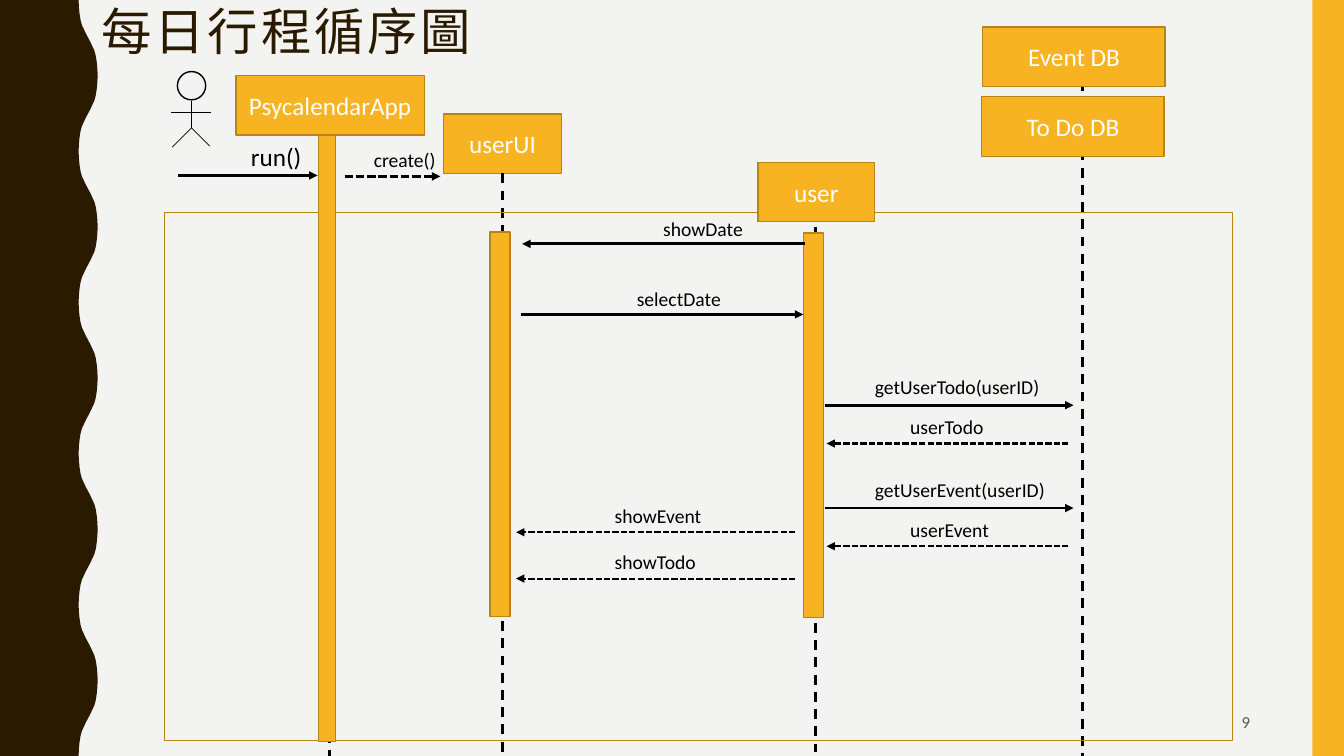
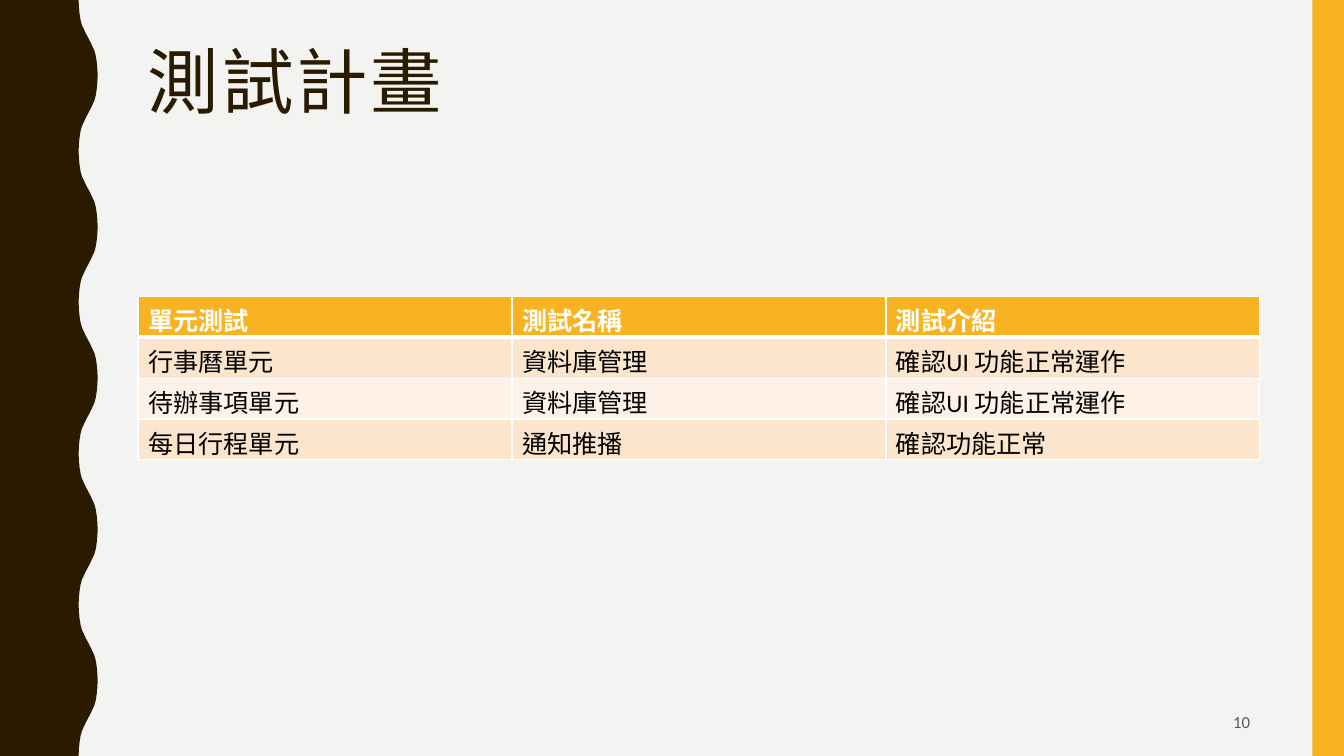
"""Build a sequence diagram slide and a test plan slide with shared styling."""
from dataclasses import dataclass
from typing import Any, NamedTuple

from lxml.etree import SubElement
from pptx import Presentation
from pptx.dml.color import RGBColor as Rgb
from pptx.enum.dml import MSO_LINE as Dash
from pptx.enum.shapes import MSO_CONNECTOR as Link, MSO_SHAPE as Preset
from pptx.enum.text import MSO_ANCHOR as Anchor, PP_ALIGN as Align
from pptx.oxml.ns import qn
from pptx.util import Pt


@dataclass(frozen=True)
class Theme:
    paper: Rgb = Rgb.from_string("F3F3F2")
    brown: Rgb = Rgb.from_string("2A1A00")
    amber: Rgb = Rgb.from_string("F8B323")
    outline: Rgb = Rgb.from_string("B7841A")
    peach: Rgb = Rgb.from_string("FCE5CD")
    cream: Rgb = Rgb.from_string("FEF2E8")
    gray: Rgb = Rgb.from_string("595959")
    black: Rgb = Rgb.from_string("000000")
    white: Rgb = Rgb.from_string("FFFFFF")
    title_font: str = "Roboto Condensed"
    body_font: str = "Calibri"
    title_small: float = 36
    title_large: float = 51
    body: float = 18
    label: float = 14
    number: float = 12


class Area(NamedTuple):
    left: float
    top: float
    width: float
    height: float


class Participant(NamedTuple):
    name: str
    left: float
    top: float
    width: float


class Stroke(NamedTuple):
    x1: float
    y1: float
    x2: float
    y2: float


@dataclass(frozen=True)
class Message:
    text: str
    label_left: float
    start: float
    end: float
    y: float
    rise: float = 23.8
    size: float = 14
    weight: float = 2
    dashed: bool = False


THEME = Theme()
WIDTH, HEIGHT = 960, 540
HEAD_HEIGHT = 42.5
WAVE_PERIOD = 108
WAVE_CENTER = 63
WAVE_QUARTER = [(56.2, 0), (56.4, 5), (56.9, 10), (57.6, 14.4),
                (58.6, 18), (60, 21), (61.4, 24), (63, 27)]

USER_UI = Participant("userUI", 317, 81.3, 84)
PARTICIPANTS = [
    Participant("PsycalendarApp", 168.5, 54, 134.6),
    Participant("user", 541.4, 115.9, 83.5),
    Participant("To Do DB", 701.3, 69.1, 130.3),
    Participant("Event DB", 702, 19.4, 130.3),
]
LIFELINES = [Stroke(773.3, 58.3, 773.3, HEIGHT), Stroke(582.5, 137.5, 582.5, 537),
             Stroke(235.4, 117.4, 235.4, HEIGHT)]
ACTIVATIONS = [Area(227.5, 96.5, 12.2, 433.4), Area(573.8, 166.3, 14.4, 275),
               Area(349.9, 165.6, 14.4, 275)]
LIMBS = [Stroke(122.4, 80.6, 150.5, 80.6), Stroke(136.8, 72, 136.8, 91.4),
         Stroke(136.8, 91.4, 123.1, 105.1), Stroke(136.8, 91.4, 149.8, 104.4)]
MESSAGES = [
    Message("run()", 172.1, 127.4, 226.8, 125.3, rise=28.1, size=THEME.body),
    Message("create()", 259.9, 246.2, 314.6, 126, dashed=True),
    Message("showDate", 466.6, 575.3, 373, 174.2, rise=23),
    Message("selectDate", 447.8, 372.2, 573.8, 224.6, rise=23),
    Message("getUserTodo(userID)", 617.8, 589, 766.8, 289.4, rise=25.2),
    Message("userTodo", 643, 763.2, 590.4, 316.8, weight=1.5, dashed=True),
    Message("getUserEvent(userID)", 617.8, 589, 766.8, 362.9, rise=25.2),
    Message("userEvent", 643, 763.2, 590.4, 390.2, weight=1.5, dashed=True),
    Message("showEvent", 432, 568.1, 368.6, 380.2, weight=1.5, dashed=True),
    Message("showTodo", 432, 568.1, 368.6, 413.3, weight=1.5, dashed=True),
]
TEST_PLAN = [
    ("單元測試", "測試名稱", "測試介紹"),
    ("行事曆單元", "資料庫管理", "確認UI 功能正常運作"),
    ("待辦事項單元", "資料庫管理", "確認UI 功能正常運作"),
    ("每日行程單元", "通知推播", "確認功能正常"),
]


def apply_format(target: Any, values: dict[str, Any]) -> None:
    """Set each named attribute on the target."""
    for name, value in values.items():
        setattr(target, name, value)


def lengths(values: tuple) -> list:
    """Turn point numbers into lengths."""
    return [Pt(value) for value in values]


def write_text(frame: Any, text: str, size: float, color: Rgb, align: Any = Align.LEFT,
               font: str = THEME.body_font, bold: bool = False) -> Any:
    """Write one paragraph with one span and return the paragraph."""
    para = frame.paragraphs[0]
    para.alignment = align
    span = para.add_run()
    span.text = text
    apply_format(span.font, {"size": Pt(size), "name": font, "bold": bold})
    span.font.color.rgb = color
    span.font._element.set("lang", "zh-TW")
    return para


def paint(shape: Any, fill: Rgb | None, line: Rgb | None = None, weight: float = 1) -> None:
    """Give a shape its fill and outline without a shadow."""
    shape.shadow.inherit = False
    if fill is None:
        shape.fill.background()
    else:
        shape.fill.solid()
        shape.fill.fore_color.rgb = fill
    if line is None:
        shape.line.fill.background()
    else:
        shape.line.color.rgb = line
        shape.line.width = Pt(weight)


def add_box(page: Any, area: Area, fill: Rgb | None, line: Rgb | None = None,
            preset: Any = Preset.RECTANGLE) -> Any:
    """Add a painted preset shape."""
    box = page.shapes.add_shape(preset, *lengths(area))
    paint(box, fill, line)
    return box


def add_text(page: Any, area: Area, anchor: Any = Anchor.TOP) -> Any:
    """Add a wrapping text box and return its frame."""
    frame = page.shapes.add_textbox(*lengths(area)).text_frame
    apply_format(frame, {"word_wrap": True, "vertical_anchor": anchor})
    return frame


def add_line(page: Any, stroke: Stroke, weight: float, dash: Any = None,
             arrow: bool = False) -> Any:
    """Add a straight black connector."""
    line = page.shapes.add_connector(Link.STRAIGHT, *lengths(stroke))
    apply_format(line.line, {"width": Pt(weight), "dash_style": dash})
    line.line.color.rgb = THEME.black
    properties = line.element.spPr
    if arrow:
        SubElement(properties.find(qn("a:ln")), qn("a:tailEnd"), type="triangle")
    SubElement(properties, qn("a:effectLst"))
    return line


def add_head(page: Any, participant: Participant) -> Any:
    """Add the labelled box of one participant."""
    area = Area(participant.left, participant.top, participant.width, HEAD_HEIGHT)
    box = add_box(page, area, THEME.amber, THEME.outline)
    apply_format(box.text_frame, {"vertical_anchor": Anchor.MIDDLE, "word_wrap": True})
    write_text(box.text_frame, participant.name, THEME.body, THEME.white, Align.CENTER)
    return box


def add_message(page: Any, message: Message) -> None:
    """Add one message arrow and its label."""
    stroke = Stroke(message.start, message.y, message.end, message.y)
    add_line(page, stroke, message.weight, Dash.SQUARE_DOT if message.dashed else None, True)
    area = Area(message.label_left, message.y - message.rise, 152, message.size + 10.5)
    write_text(add_text(page, area), message.text, message.size, THEME.black)


def add_wave(page: Any) -> None:
    """Add the brown band with its wavy right edge."""
    half = WAVE_QUARTER + [(2 * WAVE_CENTER - x, WAVE_PERIOD / 2 - y)
                           for x, y in reversed(WAVE_QUARTER[:-1])]
    period = half + [(x, WAVE_PERIOD - y) for x, y in reversed(half[1:-1])]
    edge = [(Pt(x), Pt(y + WAVE_PERIOD * turn))
            for turn in range(HEIGHT // WAVE_PERIOD) for x, y in period]
    outline = page.shapes.build_freeform(0, 0)
    outline.add_line_segments(edge + [(Pt(WAVE_QUARTER[0][0]), Pt(HEIGHT)), (0, Pt(HEIGHT))])
    paint(outline.convert_to_shape(), THEME.brown)


def add_page(deck: Any, title: str, size: float, area: Area, number: int) -> Any:
    """Add a page with the shared bands, title and number."""
    page = deck.slides.add_slide(deck.slide_layouts[6])
    add_wave(page)
    add_box(page, Area(937.4, 0, WIDTH - 937.4, HEIGHT), THEME.amber)
    para = write_text(add_text(page, area), title, size, THEME.brown, font=THEME.title_font)
    para.line_spacing = 0.9
    para.runs[0].font._element.set("spc", "200")
    frame = add_text(page, Area(678, 501.8, 222, 27.4), Anchor.MIDDLE)
    write_text(frame, str(number), THEME.number, THEME.gray, Align.RIGHT)
    return page


def draw_sequence(page: Any) -> None:
    """Draw the sequence diagram from back to front."""
    screen = add_head(page, USER_UI)
    center = USER_UI.left + USER_UI.width / 2
    lifeline = add_line(page, Stroke(center, 124, center, HEIGHT), 1.75, Dash.DASH)
    lifeline.begin_connect(screen, 2)
    for stroke in LIFELINES:
        add_line(page, stroke, 1.75, Dash.DASH)
    add_box(page, Area(117.4, 151.9, 763.2, 377.3), None, THEME.outline)
    add_box(page, Area(126.7, 51.1, 20.2, 20.2), None, THEME.black, Preset.OVAL)
    for limb in LIMBS:
        add_line(page, limb, 0.5)
    for participant in PARTICIPANTS:
        add_head(page, participant)
    for area in ACTIVATIONS:
        add_box(page, area, THEME.amber, THEME.outline)
    for message in MESSAGES:
        add_message(page, message)


def set_borders(cell: Any, top: float, bottom: float) -> None:
    """Give a cell white borders."""
    properties = cell._tc.get_or_add_tcPr()
    for index, (side, weight) in enumerate(zip("LRTB", (1, 1, top, bottom))):
        line = SubElement(properties, qn(f"a:ln{side}"), w=str(Pt(weight)))
        fill = SubElement(line, qn("a:solidFill"))
        SubElement(fill, qn("a:srgbClr"), val=str(THEME.white))
        properties.insert(index, line)


def draw_table(page: Any) -> None:
    """Draw the test plan table."""
    area = Area(98.6, 211.7, 801.4, 116.8)
    table = page.shapes.add_table(len(TEST_PLAN), len(TEST_PLAN[0]), *lengths(area)).table
    for row, texts in enumerate(TEST_PLAN):
        header = row == 0
        fill = THEME.amber if header else THEME.peach if row % 2 else THEME.cream
        for column, text in enumerate(texts):
            cell = table.cell(row, column)
            cell.fill.solid()
            cell.fill.fore_color.rgb = fill
            set_borders(cell, 3 if row == 1 else 1, 3 if header else 1)
            write_text(cell.text_frame, text, THEME.body,
                       THEME.white if header else THEME.black, bold=header)


def main() -> None:
    """Build and save the deck."""
    deck = Presentation()
    apply_format(deck, {"slide_width": Pt(WIDTH), "slide_height": Pt(HEIGHT)})
    background = deck.slide_master.background.fill
    background.solid()
    background.fore_color.rgb = THEME.paper
    draw_sequence(add_page(deck, "每日行程循序圖", THEME.title_small,
                           Area(65.5, 1.4, 363, 47.5), 9))
    draw_table(add_page(deck, "測試計畫", THEME.title_large,
                        Area(98.6, 30.2, 801.4, 117.4), 10))
    deck.save("out.pptx")


if __name__ == "__main__":
    main()
